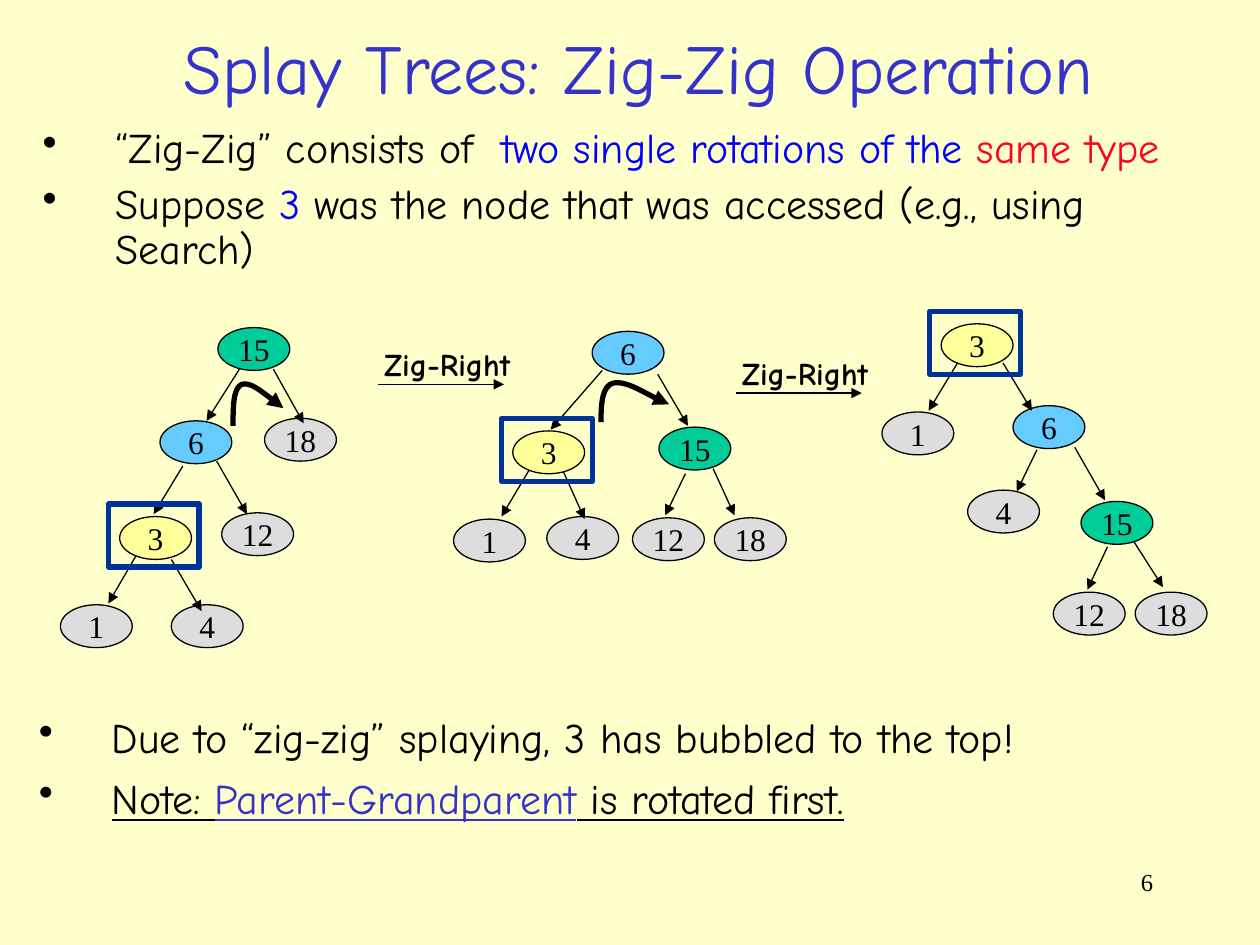
from dataclasses import dataclass

from lxml import etree
from pptx import Presentation
from pptx.dml.color import RGBColor
from pptx.enum.shapes import MSO_CONNECTOR, MSO_SHAPE
from pptx.enum.text import MSO_ANCHOR, MSO_AUTO_SIZE, PP_ALIGN
from pptx.oxml.ns import qn
from pptx.util import Inches, Pt

OVAL, RECTANGLE = MSO_SHAPE.OVAL, MSO_SHAPE.RECTANGLE
STRAIGHT = MSO_CONNECTOR.STRAIGHT
LEFT, CENTER, RIGHT = PP_ALIGN.LEFT, PP_ALIGN.CENTER, PP_ALIGN.RIGHT
TOP, MIDDLE = MSO_ANCHOR.TOP, MSO_ANCHOR.MIDDLE
GROW = MSO_AUTO_SIZE.SHAPE_TO_FIT_TEXT


@dataclass(frozen=True)
class Theme:
    page: str = "FFFFCC"
    ink: str = "000000"
    title: str = "3333CC"
    blue: str = "0000FF"
    red: str = "FD0128"
    frame: str = "003399"
    leaf: str = "DDDDDD"
    accessed: str = "FFFF99"
    parent: str = "66CCFF"
    grandparent: str = "00CC99"
    text_font: str = "Comic Neue"
    number_font: str = "Times New Roman"
    title_size: int = 40
    body_size: int = 24
    node_size: int = 18
    page_number_size: int = 14
    thin: float = 0.75
    thick: float = 3


THEME = Theme()
NODE_WIDTH, NODE_HEIGHT = 0.57, 0.34
NODE_FILLS = {"3": THEME.accessed, "6": THEME.parent, "15": THEME.grandparent}


class SlideBuilder:
    def __init__(self, page, theme):
        self.page, self.theme = page, theme
        page.background.fill.solid()
        page.background.fill.fore_color.rgb = RGBColor.from_string(theme.page)

    def font(self, span, size, color=None, name=None, bold=None, underline=None):
        span.font.size = Pt(size)
        span.font.name = name or self.theme.text_font
        span.font.color.rgb = RGBColor.from_string(color or self.theme.ink)
        span.font.bold, span.font.underline = bold, underline

    def stroke(self, item, color, width, arrow=False):
        item.line.color.rgb = RGBColor.from_string(color)
        item.line.width = Pt(width)
        if arrow:
            etree.SubElement(item.line._get_or_add_ln(), qn("a:tailEnd"), type="triangle")

    def text(self, area, wording, size, align=LEFT, anchor=TOP, wrap=True, **style):
        box = self.page.shapes.add_textbox(*map(Inches, area))
        frame = box.text_frame
        frame.text = wording
        frame.word_wrap, frame.vertical_anchor = wrap, anchor
        if not wrap:
            frame.auto_size = GROW
        para = frame.paragraphs[0]
        para.alignment = align
        self.font(para.runs[0], size, **style)

    def bullets(self, area, items, line_spacing=None):
        """Each item is a list of (wording, color, underline) spans."""
        frame = self.page.shapes.add_textbox(*map(Inches, area)).text_frame
        frame.word_wrap = True
        for index, spans in enumerate(items):
            para = frame.add_paragraph() if index else frame.paragraphs[0]
            para.space_before = Pt(6)
            para.line_spacing = line_spacing
            props = para._p.get_or_add_pPr()
            props.set("marL", str(Inches(0.58)))
            props.set("indent", str(Inches(-0.58)))
            color = etree.SubElement(props, qn("a:buClr"))
            etree.SubElement(color, qn("a:srgbClr"), val=self.theme.ink)
            etree.SubElement(props, qn("a:buChar"), char="•")
            for wording, ink, underline in spans:
                span = para.add_run()
                span.text = wording
                self.font(span, self.theme.body_size, ink, underline=underline)

    def node(self, value, left, top):
        oval = self.page.shapes.add_shape(
            OVAL, *map(Inches, (left, top, NODE_WIDTH, NODE_HEIGHT)))
        oval.shadow.inherit = False
        oval.fill.solid()
        oval.fill.fore_color.rgb = RGBColor.from_string(
            NODE_FILLS.get(value, self.theme.leaf))
        self.stroke(oval, self.theme.ink, self.theme.thin)
        frame = oval.text_frame
        frame.text = value
        frame.word_wrap, frame.vertical_anchor = False, MIDDLE
        para = frame.paragraphs[0]
        para.alignment = CENTER
        self.font(para.runs[0], self.theme.node_size, name=self.theme.number_font)

    def arrow(self, *ends):
        line = self.page.shapes.add_connector(STRAIGHT, *map(Inches, ends))
        self.stroke(line, self.theme.ink, self.theme.thin, arrow=True)
        etree.SubElement(line._element.spPr, qn("a:effectLst"))

    def highlight(self, left, top):
        """Frame the node at the given position."""
        frame = self.page.shapes.add_shape(
            RECTANGLE, *map(Inches, (left - 0.09, top - 0.1, 0.72, 0.5)))
        frame.shadow.inherit = False
        frame.fill.background()
        self.stroke(frame, self.theme.frame, self.theme.thick)

    def curved_arrow(self, points):
        """Start point, then three points for each Bezier segment."""
        start, *rest = [tuple(map(Inches, point)) for point in points]
        builder = self.page.shapes.build_freeform(*start)
        builder.add_line_segments(rest, close=False)
        curve = builder.convert_to_shape()
        corners = list(curve._element.iter(qn("a:lnTo")))
        for first in range(0, len(corners), 3):
            bezier = etree.SubElement(corners[first].getparent(), qn("a:cubicBezTo"))
            for corner in corners[first:first + 3]:
                bezier.append(corner[0])
                corner.getparent().remove(corner)
        curve.shadow.inherit = False
        curve.fill.background()
        self.stroke(curve, self.theme.ink, self.theme.thick, arrow=True)

    def tree(self, nodes, edges, rotation=None):
        for value, left, top in nodes:
            self.node(value, left, top)
        for edge in edges:
            self.arrow(*edge)
        if rotation:
            self.curved_arrow(rotation)
        for value, left, top in nodes:
            if value == "3":
                self.highlight(left, top)

    def step(self, left, top):
        """Labelled arrow between two trees."""
        self.arrow(left, top, left + 1, top)
        self.text((left - 0.05, top - 0.36, 1.2, 0.4), "Zig-Right",
                  self.theme.node_size, wrap=False, bold=True)


# Each tree: nodes (value, left, top), edges (x1, y1, x2, y2), rotation curve
TREES = [
    ([("15", 1.73, 2.6), ("6", 1.27, 3.34), ("18", 2.1, 3.32), ("3", 0.95, 4.1),
      ("12", 1.76, 4.07), ("1", 0.48, 4.8), ("4", 1.36, 4.8)],
     [(1.9, 2.93, 1.64, 3.34), (2.17, 2.93, 2.41, 3.36), (1.72, 3.66, 1.96, 4.08),
      (1.45, 3.7, 1.22, 4.08), (1.08, 4.41, 0.86, 4.79), (1.36, 4.44, 1.6, 4.85)],
     [(1.85, 3.38), (1.85, 3.23), (1.85, 3.08), (1.92, 3.05),
      (1.99, 3.03), (2.2, 3.2), (2.25, 3.24)]),
    ([("6", 4.7, 2.63), ("3", 4.07, 3.42), ("15", 5.23, 3.39), ("1", 3.6, 4.12),
      ("4", 4.34, 4.1), ("12", 5.02, 4.11), ("18", 5.67, 4.11)],
     [(5.22, 2.97, 5.46, 3.38), (4.78, 2.94, 4.37, 3.41), (4.2, 3.73, 3.98, 4.1),
      (5.66, 3.72, 5.83, 4.09), (5.44, 3.76, 5.28, 4.09), (4.47, 3.74, 4.64, 4.12)],
     [(4.77, 3.35), (4.77, 3.2), (4.78, 3.06), (4.87, 3.04),
      (4.96, 3.02), (5.23, 3.18), (5.31, 3.21)]),
    ([("3", 7.47, 2.57), ("1", 7, 3.27), ("6", 8.04, 3.22), ("4", 7.68, 3.89),
      ("15", 8.58, 3.98), ("12", 8.36, 4.7), ("18", 9.01, 4.7)],
     [(8.53, 3.55, 8.77, 3.97), (7.6, 2.88, 7.37, 3.26), (9, 4.3, 9.23, 4.66),
      (8.79, 4.34, 8.63, 4.68), (7.96, 2.88, 8.19, 3.26), (8.23, 3.57, 8.07, 3.9)],
     None),
]


def main():
    deck = Presentation()
    deck.slide_width, deck.slide_height = Inches(10), Inches(7.5)
    slide = SlideBuilder(deck.slides.add_slide(deck.slide_layouts[6]), THEME)

    # Title and page number
    slide.text((0.3, 0.15, 9.54, 0.76), "Splay Trees: Zig-Zig Operation",
               THEME.title_size, CENTER, MIDDLE, color=THEME.title)
    slide.text((7.17, 6.83, 2.08, 0.5), "6", THEME.page_number_size, RIGHT,
               name=THEME.number_font)

    # Introduction and conclusion
    slide.bullets((0.24, 0.96, 9.58, 1.47), [
        [("“Zig-Zig” consists of  ", THEME.ink, None),
         ("two single rotations of the ", THEME.blue, None),
         ("same type", THEME.red, None)],
        [("Suppose ", THEME.ink, None), ("3 ", THEME.blue, None),
         ("was the node that was accessed (e.g., using Search)", THEME.ink, None)],
    ], line_spacing=0.9)
    slide.bullets((0.21, 5.6, 9.45, 1.25), [
        [("Due to “zig-zig” splaying, 3 has bubbled to the top!", THEME.ink, None)],
        [("Note: ", THEME.ink, True), ("Parent-Grandparent", THEME.title, True),
         (" is rotated first.", THEME.ink, True)],
    ])

    # Trees and the steps between them
    for nodes, edges, rotation in TREES:
        slide.tree(nodes, edges, rotation)
    slide.step(3, 3.05)
    slide.step(5.84, 3.12)

    deck.save("out.pptx")


if __name__ == "__main__":
    main()
